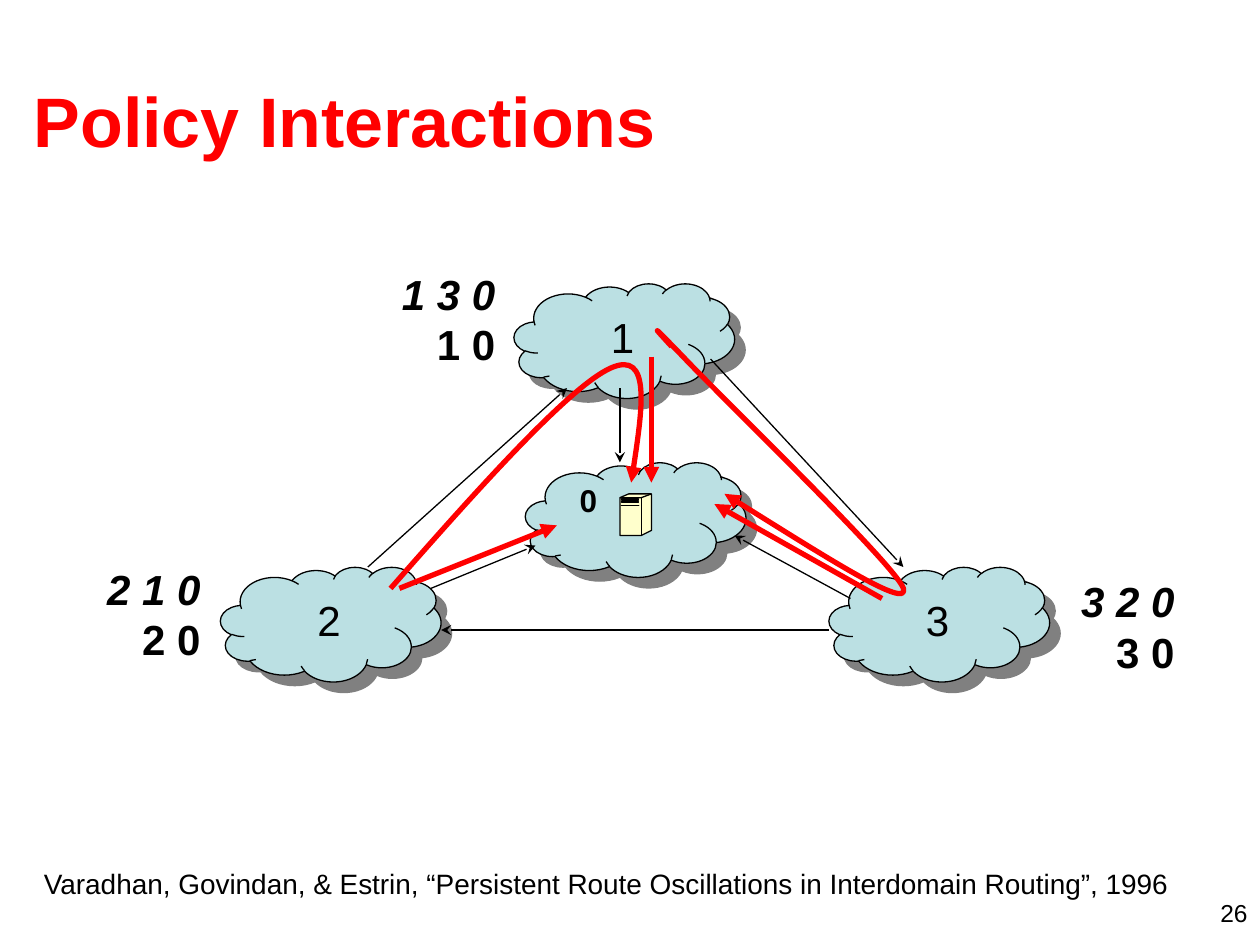
from lxml.etree import SubElement
from pptx import Presentation
from pptx.dml.color import RGBColor
from pptx.enum.shapes import MSO_CONNECTOR, MSO_SHAPE
from pptx.enum.text import MSO_ANCHOR, PP_ALIGN
from pptx.oxml import parse_xml
from pptx.oxml.ns import nsdecls, qn
from pptx.util import Inches, Pt

COLORS = {
    "red": "FF0000",
    "black": "000000",
    "cloud": "BBE0E3",
    "server": "FFFFCC",
    "shadow": "808080",
}

presentation = Presentation()
presentation.slide_width = Inches(10)
presentation.slide_height = Inches(7.5)
slide = presentation.slides.add_slide(presentation.slide_layouts[6])


def add_text(left, top, width, height, lines, size, align=PP_ALIGN.LEFT,
             color="black", bold=False, wrap=False):
    shape = slide.shapes.add_textbox(Inches(left), Inches(top), Inches(width), Inches(height))
    frame = shape.text_frame
    frame.word_wrap = wrap
    frame.text = "\n".join(lines)
    for paragraph in frame.paragraphs:
        paragraph.alignment = align
        paragraph.font.name = "Arial"
        paragraph.font.size = Pt(size)
        paragraph.font.bold = bold
        paragraph.font.color.rgb = RGBColor.from_string(COLORS[color])
    return frame


def style_line(shape, color, width, arrowhead=None):
    shape.line.color.rgb = RGBColor.from_string(COLORS[color])
    shape.line.width = Pt(width)
    properties = shape._element.spPr
    if arrowhead:
        SubElement(properties.find(qn("a:ln")), qn("a:tailEnd"), type=arrowhead)
    if properties.find(qn("a:effectLst")) is None:
        SubElement(properties, qn("a:effectLst"))


title = add_text(0.17, 0.32, 9.58, 1.25, ["Policy Interactions"], 40,
                 color="red", bold=True, wrap=True)
title.vertical_anchor = MSO_ANCHOR.MIDDLE

for left, top in [(4.17, 3.67), (4.08, 2.25), (1.75, 4.5), (6.58, 4.5)]:
    cloud = slide.shapes.add_shape(MSO_SHAPE.CLOUD, Inches(left), Inches(top),
                                   Inches(1.75), Inches(0.91))
    cloud.fill.solid()
    cloud.fill.fore_color.rgb = RGBColor.from_string(COLORS["cloud"])
    style_line(cloud, "black", 0.75)
    cloud._element.spPr.find(qn("a:effectLst")).append(parse_xml(
        f'<a:outerShdw {nsdecls("a")} dist="{Pt(8.5)}" dir="2700000" algn="ctr" rotWithShape="0">'
        f'<a:srgbClr val="{COLORS["shadow"]}"/></a:outerShdw>'))

server_body = [[(4.92, 3.95), (4.99, 3.92), (5.17, 3.92), (5.17, 4.21),
                (5.09, 4.25), (4.92, 4.25), (4.92, 3.95)]]
server_details = [[(4.92, 3.95), (5.09, 3.95), (5.17, 3.92)], [(5.09, 3.95), (5.09, 4.25)]]
for slot_top, slot_bottom in [(3.96, 3.97), (3.98, 3.99), (4.01, 4.01)]:
    server_details.append([(4.93, slot_top), (5.07, slot_top), (5.07, slot_bottom),
                           (4.93, slot_bottom), (4.93, slot_top)])

for contours, filled in [(server_body, True), (server_details, False)]:
    builder = slide.shapes.build_freeform(*map(Inches, contours[0][0]))
    for index, contour in enumerate(contours):
        points = [(Inches(x), Inches(y)) for x, y in contour]
        if index:
            builder.move_to(*points[0])
        builder.add_line_segments(points[1:], close=False)
    server = builder.convert_to_shape()
    if filled:
        server.fill.solid()
        server.fill.fore_color.rgb = RGBColor.from_string(COLORS["server"])
    else:
        server.fill.background()
    style_line(server, "black", 0.75)

links = [
    (4.92, 3.08, 4.92, 3.67),
    (2.92, 4.5, 4.5, 3.08),
    (6.58, 5, 3.5, 5),
    (5.64, 2.85, 7.17, 4.5),
    (3.42, 4.67, 4.25, 4.33),
    (6.75, 4.75, 5.83, 4.25),
]
direct_routes = [
    (5.17, 2.83, 5.17, 3.83),
    (7, 4.75, 5.67, 4),
    (3.17, 4.67, 4.42, 4.17),
]
for arrows, color, width, arrowhead in [(links, "black", 0.75, "stealth"),
                                        (direct_routes, "red", 3, "triangle")]:
    for ends in arrows:
        arrow = slide.shapes.add_connector(MSO_CONNECTOR.STRAIGHT, *map(Inches, ends))
        style_line(arrow, color, width, arrowhead)

indirect_routes = [
    [(3.1, 4.67), (3.81, 3.86), (4.53, 3.06), (4.85, 2.92),
     (5.17, 2.78), (5.09, 3.31), (5.01, 3.83)],
    [(5.33, 2.75), (5.22, 2.63), (5.11, 2.51), (5.42, 2.83), (5.72, 3.15),
     (7.11, 4.49), (7.17, 4.67), (7.22, 4.85), (6.49, 4.38), (5.75, 3.92)],
]
for route in indirect_routes:
    points = [(Inches(x), Inches(y)) for x, y in route]
    builder = slide.shapes.build_freeform(*points[0])
    builder.add_line_segments(points[1:], close=False)
    curve = builder.convert_to_shape()
    segments = curve._element.xpath(".//a:lnTo")
    for start in range(0, len(segments), 3):
        bezier = SubElement(segments[start].getparent(), qn("a:cubicBezTo"))
        for segment in segments[start:start + 3]:
            bezier.append(segment[0])
            segment.getparent().remove(segment)
    curve.fill.background()
    style_line(curve, "red", 3, "triangle")

for label, left, top in [("1", 4.75, 2.42), ("2", 2.42, 4.67), ("3", 7.25, 4.67)]:
    add_text(left, top, 0.38, 0.5, [label], 24)
add_text(4.5, 3.77, 0.34, 0.4, ["0"], 18, PP_ALIGN.CENTER, bold=True)

for left, top, preferred, fallback in [(3.09, 2.08, "1 3 0", "1 0"),
                                       (8.48, 4.52, "3 2 0", "3 0"),
                                       (0.75, 4.42, "2 1 0", "2 0")]:
    policy = add_text(left, top, 0.94, 0.9, [preferred, fallback], 24,
                      PP_ALIGN.RIGHT, bold=True)
    policy.paragraphs[0].font.italic = True

add_text(0.25, 6.83, 9.67, 0.37,
         ["Varadhan, Govindan, & Estrin, “Persistent Route Oscillations in "
          "Interdomain Routing”, 1996"], 16, wrap=True)
add_text(7.67, 7.08, 2.33, 0.25, ["26"], 14, PP_ALIGN.RIGHT, wrap=True)

presentation.save("out.pptx")
